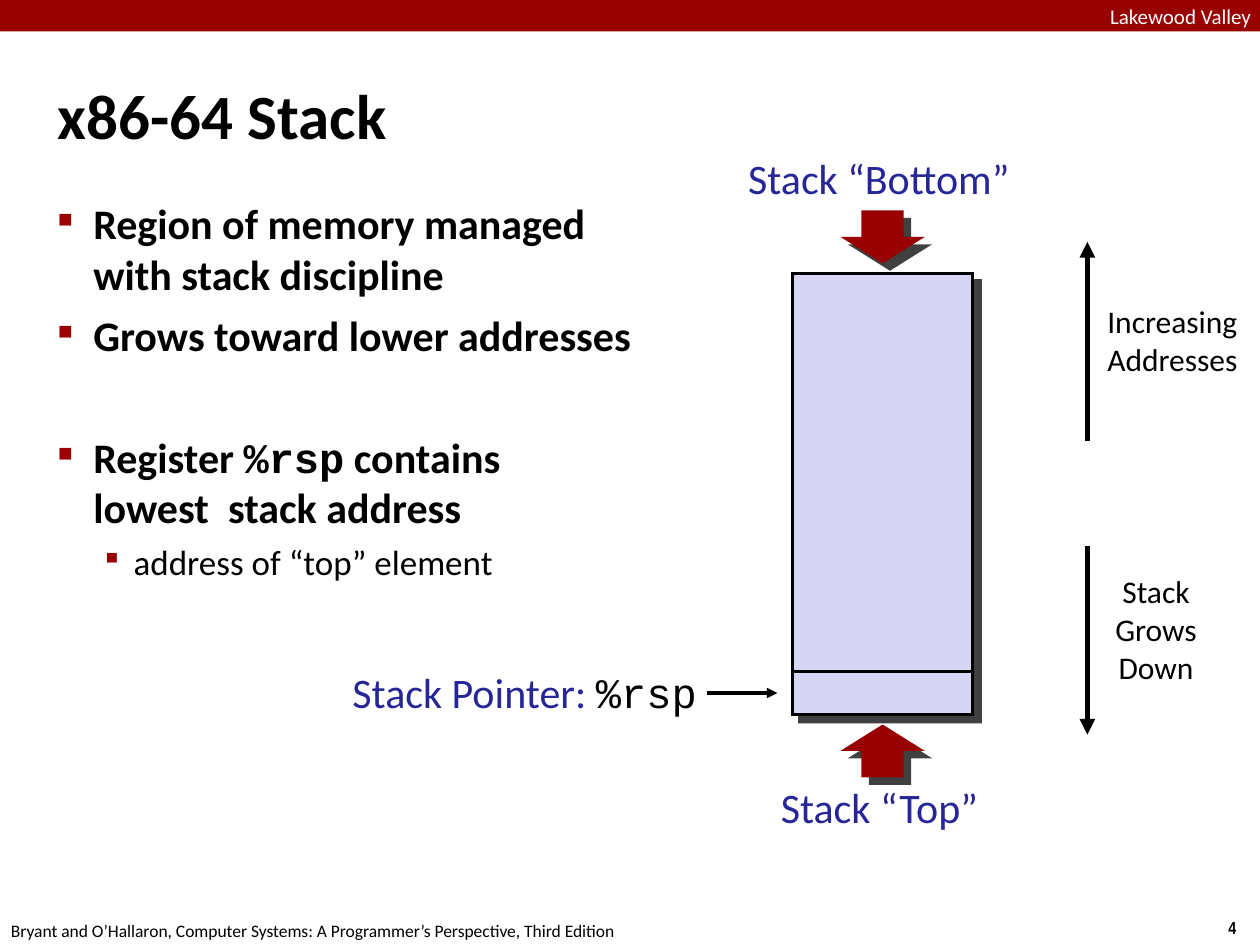
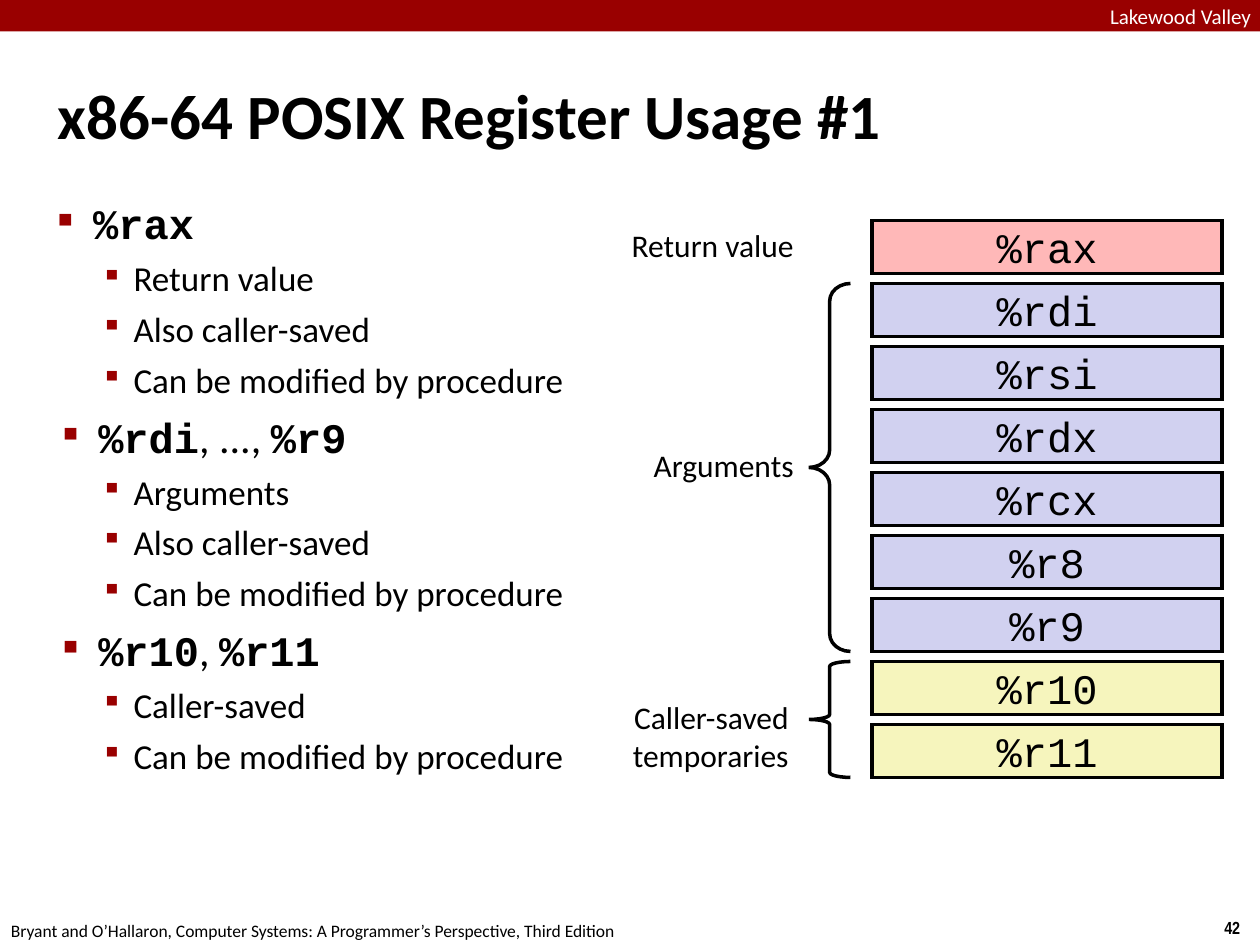
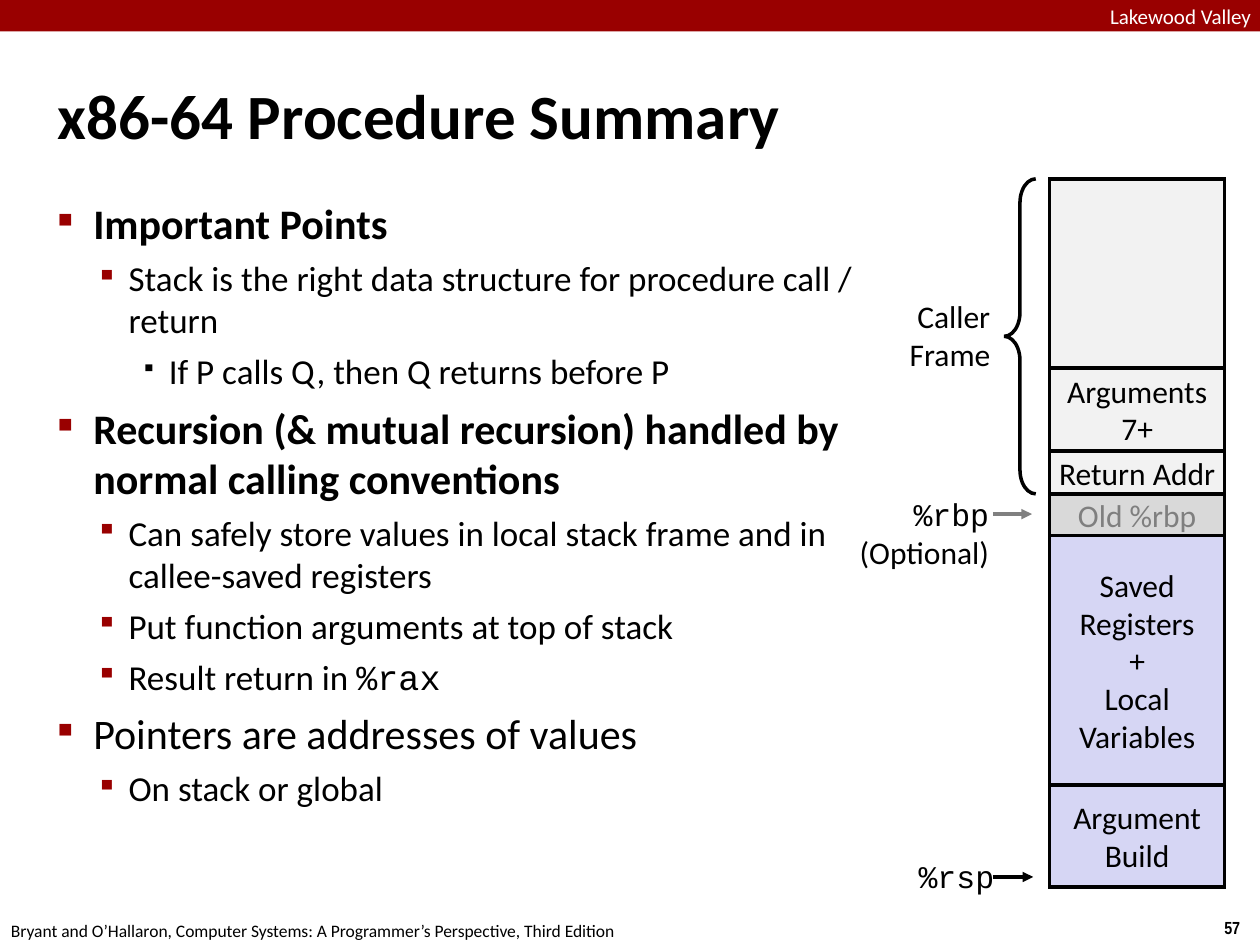
from lxml import etree
from pptx import Presentation
from pptx.dml.color import RGBColor
from pptx.enum.shapes import MSO_CONNECTOR, MSO_SHAPE
from pptx.enum.text import MSO_ANCHOR, PP_ALIGN
from pptx.oxml.ns import qn
from pptx.util import Inches, Pt

RECT, BRACE = MSO_SHAPE.RECTANGLE, MSO_SHAPE.LEFT_BRACE
DOWN, UP = MSO_SHAPE.DOWN_ARROW, MSO_SHAPE.UP_ARROW
STRAIGHT = MSO_CONNECTOR.STRAIGHT
LEFT, CENTER, RIGHT = PP_ALIGN.LEFT, PP_ALIGN.CENTER, PP_ALIGN.RIGHT
TOP, MIDDLE = MSO_ANCHOR.TOP, MSO_ANCHOR.MIDDLE

SANS, MONO, NARROW = "Calibri", "Courier New", "Arial Narrow"
HEX = {
    "black": "000000", "white": "FFFFFF", "band": "990000", "arrow": "980002",
    "blue": "262699", "stack": "D6D6F4", "args": "D1D1F0", "pink": "FFB8B8",
    "yellow": "F6F5BD", "light": "F2F2F2", "mid": "D9D9D9", "dim": "7F7F7F",
    "gray": "808080",
}

# Shared wording and paragraph kinds
SCHOOL = "Lakewood Valley"
FOOTER = ("Bryant and O’Hallaron, Computer Systems: "
          "A Programmer’s Perspective, Third Edition")
HEAD = dict(level=0, left=0.28, hang=0.28, before=6, size=24, bold="all",
            mark="■", ratio=48, color="band")
FAR = {**HEAD, "before": 41}
PLAIN = {**HEAD, "bold": "none"}
REGS = {**HEAD, "left": 0.32, "bold": "code"}
SUB = {**PLAIN, "level": 1, "left": 0.6, "hang": 0.26, "before": 5,
       "size": 20, "mark": "▪", "ratio": 85}
NEAR = {**SUB, "left": 0.56}
DEEP = {**SUB, "level": 2, "left": 0.88, "hang": 0.22, "ratio": 60,
        "color": "black"}

# Body text: pieces between backticks are set as code
STACK_BODY = [
    (HEAD, "Region of memory managed with stack discipline"),
    (HEAD, "Grows toward lower addresses"),
    (FAR, "Register `%rsp` contains \nlowest  stack address"),
    (SUB, "address of “top” element"),
]
USAGE_BODY = [
    (HEAD, "`%rax`"),
    (SUB, "Return value"),
    (SUB, "Also caller-saved"),
    (SUB, "Can be modified by procedure"),
    (REGS, "`%rdi`, ..., `%r9`"),
    (SUB, "Arguments"),
    (SUB, "Also caller-saved"),
    (SUB, "Can be modified by procedure"),
    (REGS, "`%r10`, `%r11`"),
    (SUB, "Caller-saved"),
    (SUB, "Can be modified by procedure"),
]
SUMMARY_BODY = [
    (HEAD, "Important Points"),
    (NEAR, "Stack is the right data structure for procedure call / return"),
    (DEEP, "If P calls Q, then Q returns before P"),
    (HEAD, "Recursion (& mutual recursion) handled by normal calling "
           "conventions"),
    (NEAR, "Can safely store values in local stack frame and in "
           "callee-saved registers"),
    (NEAR, "Put function arguments at top of stack"),
    (NEAR, "Result return in `%rax`"),
    (PLAIN, "Pointers are addresses of values"),
    (NEAR, "On stack or global"),
]

# Diagram content
REG_FILLS = [("pink", ["%rax"]),
             ("args", ["%rdi", "%rsi", "%rdx", "%rcx", "%r8", "%r9"]),
             ("yellow", ["%r10", "%r11"])]
FRAME = [  # height, fill, text colour, lines
    (1.5, "light", "black", []),
    (0.66, "light", "black", ["Arguments", "7+"]),
    (0.34, "light", "black", ["Return Addr"]),
    (0.33, "mid", "dim", ["Old %rbp"]),
    (1.98, "stack", "black",
     ["Saved", "Registers", "+", "Local", "Variables"]),
    (0.81, "stack", "black", ["Argument", "Build"]),
]


def rgb(name):
    return RGBColor.from_string(HEX[name])


def add_xml(parent, tag, **attrs):
    return etree.SubElement(parent, qn(tag), attrs)


def add_runs(para, text, size, color="black", bold="none", font=SANS):
    for i, piece in enumerate(text.split("`")):
        code = i % 2 == 1
        for j, line in enumerate(piece.split("\n")):
            if j:
                para.add_line_break()
            if not line:
                continue
            run = para.add_run()
            run.text = line
            run.font.size = Pt(size)
            run.font.name = MONO if code else font
            run.font.bold = bold == "all" or (bold == "code" and code)
            run.font.color.rgb = rgb("black" if code else color)


def set_frame(shape, pad, wrap, anchor):
    frame = shape.text_frame
    frame.word_wrap = wrap
    frame.vertical_anchor = anchor
    frame.margin_left = frame.margin_right = Inches(pad)
    frame.margin_top = frame.margin_bottom = Inches(pad)
    return frame


def write(shape, lines, size, align=CENTER, pad=0.04, wrap=False,
          anchor=TOP, **style):
    frame = set_frame(shape, pad, wrap, anchor)
    for i, line in enumerate(lines):
        para = frame.add_paragraph() if i else frame.paragraphs[0]
        para.alignment = align
        add_runs(para, line, size, **style)


def add_label(slide, box, lines, size=18, **style):
    write(slide.shapes.add_textbox(*map(Inches, box)), lines, size, **style)


def add_shape(slide, kind, box, fill=None, line=True, shadow=False):
    shape = slide.shapes.add_shape(kind, *map(Inches, box))
    shape.shadow.inherit = False
    if fill:
        shape.fill.solid()
        shape.fill.fore_color.rgb = rgb(fill)
    else:
        shape.fill.background()
    if line:
        shape.line.color.rgb = rgb("black")
        shape.line.width = Pt(2)
        add_xml(shape.line._get_or_add_ln(), "a:miter", lim="800000")
    else:
        shape.line.fill.background()
    if shadow:
        effects = shape._element.spPr.find(qn("a:effectLst"))
        outer = add_xml(effects, "a:outerShdw", blurRad="0",
                        dist=str(Pt(6)), dir="2700000", algn="ctr",
                        rotWithShape="0")
        tone = add_xml(outer, "a:srgbClr", val=HEX["black"])
        add_xml(tone, "a:alpha", val="75000")
    return shape


def add_brace(slide, box, curl):
    brace = add_shape(slide, BRACE, box)
    brace.adjustments[0] = curl / box[2]


def add_line(slide, x1, y1, x2, y2, color="black", width=2, head=True):
    line = slide.shapes.add_connector(
        STRAIGHT, *map(Inches, (x1, y1, x2, y2)))
    line.line.color.rgb = rgb(color)
    line.line.width = Pt(width)
    if head:
        add_xml(line.line._get_or_add_ln(), "a:tailEnd", type="triangle")
    add_xml(line._element.spPr, "a:effectLst")


def add_body(slide, width, items):
    box = slide.shapes.add_textbox(
        *map(Inches, (0.42, 1.53, width, 5.72)))
    frame = set_frame(box, 0.04, True, TOP)
    for i, (kind, text) in enumerate(items):
        para = frame.add_paragraph() if i else frame.paragraphs[0]
        para.level = kind["level"]
        para.space_before = Pt(kind["before"])
        props = para._p.get_or_add_pPr()
        props.set("marL", str(Inches(kind["left"])))
        props.set("indent", str(-Inches(kind["hang"])))
        tone = add_xml(props, "a:buClr")
        add_xml(tone, "a:srgbClr", val=HEX[kind["color"]])
        add_xml(props, "a:buSzPct", val=str(kind["ratio"] * 1000))
        add_xml(props, "a:buChar", char=kind["mark"])
        add_runs(para, text, kind["size"], bold=kind["bold"])


def add_slide(deck, number, title, width, items):
    slide = deck.slides.add_slide(deck.slide_layouts[6])
    add_label(slide, (9.61, 7.23, 0.34, 0.27), [str(number)], 10,
              pad=0.05, font=NARROW, bold="all")
    add_label(slide, (-0.06, 7.25, 5.08, 0.27), [FOOTER], 10, pad=0.05)
    add_shape(slide, RECT, (0, 0, 10, 0.25), "band", line=False)
    add_label(slide, (7.93, 0.03, 2, 0.19), [SCHOOL], 12, align=RIGHT,
              pad=0, wrap=True, color="white")
    add_label(slide, (0.42, 0.28, 9.17, 1.25), [title], 36, align=LEFT,
              wrap=True, anchor=MIDDLE, bold="all")
    add_body(slide, width, items)
    return slide


def draw_stack(deck):
    slide = add_slide(deck, 4, "x86-64 Stack", 4.88, STACK_BODY)
    # Stack block with its top element
    add_shape(slide, RECT, (6.29, 2.17, 1.43, 3.5), "stack", shadow=True)
    add_line(slide, 6.29, 5.33, 7.72, 5.33, head=False)
    # Ends of the stack
    for kind, y in ((DOWN, 1.67), (UP, 5.75)):
        add_shape(slide, kind, (6.67, y, 0.67, 0.42), "arrow", line=False,
                  shadow=True)
    for box, text in (((5.86, 1.17, 2.23, 0.49), "Stack “Bottom”"),
                      ((6.13, 6.16, 1.7, 0.49), "Stack “Top”")):
        add_label(slide, box, [text], 24, color="blue")
    # Stack pointer
    add_label(slide, (2.69, 5.25, 2.88, 0.5), ["Stack Pointer: `%rsp`"], 24,
              align=RIGHT, color="blue")
    add_line(slide, 5.61, 5.5, 6.17, 5.5)
    # Directions
    add_line(slide, 8.63, 3.5, 8.63, 1.92, width=3)
    add_line(slide, 8.63, 4.33, 8.63, 5.83, width=3)
    add_label(slide, (8.74, 2.36, 1.13, 0.69), ["Increasing", "Addresses"])
    add_label(slide, (8.73, 4.5, 0.89, 1), ["Stack Grows", "Down"],
              wrap=True)


def draw_usage(deck):
    slide = add_slide(deck, 42, "x86-64 POSIX Register Usage #1", 4.44,
                      USAGE_BODY)
    # Register boxes
    y = 1.75
    for fill, names in REG_FILLS:
        for name in names:
            box = add_shape(slide, RECT, (6.92, y, 2.78, 0.42), fill)
            write(box, [name], 24, pad=0, anchor=MIDDLE, font=MONO)
            y += 0.5
    # Roles
    add_label(slide, (4.95, 1.75, 1.39, 0.39), ["Return value"],
              align=RIGHT)
    add_label(slide, (5.13, 3.5, 1.21, 0.39), ["Arguments"], align=RIGHT)
    add_label(slide, (4.91, 5.5, 1.39, 0.69),
              ["Caller-saved", "temporaries"], align=RIGHT)
    add_brace(slide, (6.42, 2.25, 0.33, 2.92), 0.14)
    add_brace(slide, (6.42, 5.25, 0.33, 0.92), 0.04)


def draw_summary(deck):
    slide = add_slide(deck, 57, "x86-64 Procedure Summary", 6.42,
                      SUMMARY_BODY)
    # Stack frame
    y = 1.42
    for height, fill, color, lines in FRAME:
        part = add_shape(slide, RECT, (8.33, y, 1.39, height), fill)
        write(part, lines, 18, pad=0, anchor=MIDDLE, color=color)
        y += height
    # Caller frame and pointers
    add_label(slide, (7.15, 2.32, 0.75, 0.69), ["Caller", "Frame"],
              align=RIGHT)
    add_brace(slide, (7.97, 1.42, 0.25, 2.5), 0.19)
    add_label(slide, (6.18, 3.89, 1.71, 0.36), ["`%rbp`", "(Optional)"],
              align=RIGHT, wrap=True)
    add_line(slide, 7.88, 4.08, 8.19, 4.08, "gray")
    add_label(slide, (6.31, 6.76, 1.62, 0.36), ["`%rsp`"], align=RIGHT,
              wrap=True)
    add_line(slide, 7.88, 6.96, 8.2, 6.96)


def main():
    deck = Presentation()
    deck.slide_width, deck.slide_height = Inches(10), Inches(7.5)
    draw_stack(deck)
    draw_usage(deck)
    draw_summary(deck)
    deck.save("out.pptx")


if __name__ == "__main__":
    main()
